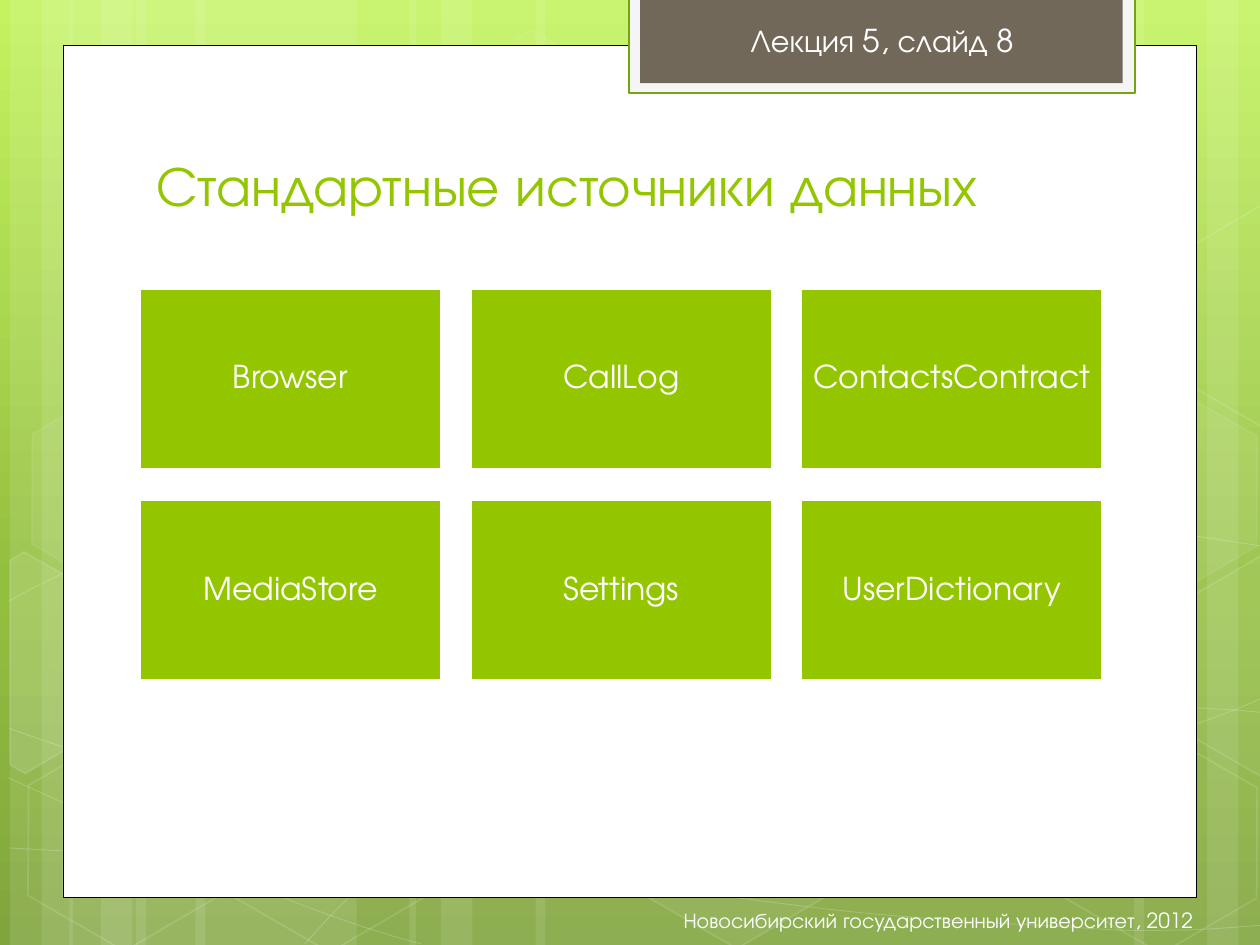
from copy import deepcopy
from dataclasses import dataclass
from pptx import Presentation
from pptx.dml.color import RGBColor
from pptx.enum.shapes import MSO_SHAPE as Shape
from pptx.enum.text import MSO_ANCHOR as Anchor, PP_ALIGN as Align
from pptx.oxml.ns import qn
from pptx.util import Inches, Pt
from lxml.etree import SubElement


@dataclass
class Theme:
    font: str = "TeX Gyre Adventor"
    white: str = "FFFFFF"
    black: str = "000000"
    green: str = "94C600"
    tab: str = "71685A"
    tab_frame: str = "F5F5F5"
    tab_edge: str = "74A510"
    backdrop: tuple = ((0, "C3F35F"), (0.62, "93BF3F"), (1, "81A53E"))
    title_size: int = 32
    body_size: int = 18
    footer_size: int = 12


THEME = Theme()

LECTURE = "Лекция 5, слайд 8"
UNIVERSITY = "Новосибирский государственный университет, 2012"
TITLE = "Стандартные источники данных"
SOURCES = [
    ["Browser", "CallLog", "ContactsContract"],
    ["MediaStore", "Settings", "UserDictionary"],
]

STRIPES = [
    (1.08, 1.75), (0.08, 0.5), (0.33, 0.83), (1.55, 1.75), (0.55, 0.5), (0.8, 0.83),
    (7.33, 1.75), (9.58, 0.5), (9, 0.83), (4.25, 3.08), (3.25, 0.5), (3.5, 0.83),
]
WAVES = [
    [(0.07, 6.73), (0.61, 6.76, 1.15, 6.79, 1.9, 6.78), (2.65, 6.77, 3.58, 6.75, 4.58, 6.65),
     (5.58, 6.55, 7, 6.36, 7.92, 6.17), (8.83, 5.98, 9.77, 5.68, 10.07, 5.51)],
    [(0.07, 4.77), (0.36, 4.61, 0.65, 4.46, 1.21, 4.31), (1.78, 4.16, 2.59, 3.94, 3.47, 3.87),
     (4.36, 3.8, 5.44, 3.79, 6.54, 3.87), (7.64, 3.95, 9.47, 4.26, 10.07, 4.34)],
    [(0.06, 6.17), (1.27, 6.72, 2.47, 7.27, 3.34, 7.49)],
    [(0.07, 5.78), (0.38, 5.89, 0.7, 6, 1.28, 6.16), (1.86, 6.31, 2.73, 6.56, 3.57, 6.73),
     (4.4, 6.9, 5.45, 7.08, 6.28, 7.18), (7.11, 7.29, 8, 7.33, 8.53, 7.36),
     (9.05, 7.4, 9.19, 7.38, 9.45, 7.38), (9.71, 7.37, 9.89, 7.35, 10.07, 7.34)],
    [(2.42, 7.49), (2.6, 7.29, 2.78, 7.09, 3.02, 6.91), (3.26, 6.73, 3.6, 6.53, 3.88, 6.39),
     (4.16, 6.25, 4.33, 6.19, 4.7, 6.09), (5.06, 5.99, 5.73, 5.85, 6.08, 5.78),
     (6.44, 5.71, 6.49, 5.71, 6.8, 5.69), (7.11, 5.66, 7.6, 5.63, 7.94, 5.62),
     (8.29, 5.61, 8.86, 5.62, 8.86, 5.62), (9.53, 5.62),
     (9.71, 5.63, 9.88, 5.64, 9.97, 5.65), (10.06, 5.66, 10.03, 5.65, 10.06, 5.66)],
]
HEXAGONS = [
    (3.34, 0.36, 4, 8), (4.97, 5.89, 6, 12), (0.11, 5.91, 0, 12),
    (0.14, 3.12, 7, 8), (1.74, 5.92, 0, 12), (7.53, 4.53, 10, 12),
    (8.34, 5.93, 0, 12), (8.34, 3.14, 7, 8),
]
CUT_HEXAGONS = [
    ([(0.08, 4.45), (0.19, 4.38), (0.96, 4.82), (0.95, 5.7), (0.2, 6.14), (0.08, 6.07)], 10),
    ([(9.26, 4.85), (10.01, 4.41), (10.09, 4.46), (10.09, 6.13), (10.02, 6.17), (9.26, 5.73)], 4),
    ([(9.26, 2.07), (10.01, 1.63), (10.1, 1.68), (10.09, 3.35), (10.02, 3.39), (9.26, 2.95)], 0),
]
PANELS = [
    ((0.5, 0.36, 9, 6.76), THEME.white, THEME.black, 0.5),
    ((4.99, -0.02, 4.02, 0.76), THEME.tab_frame, THEME.tab_edge, 1.25),
    ((5.08, -0.02, 3.83, 0.68), THEME.tab, None, 0),
]


def paint(fill, color, opacity=100):
    if not color or not opacity:
        fill.background()
        return
    fill.solid()
    fill.fore_color.rgb = RGBColor.from_string(color)
    if opacity < 100:
        element = fill._xPr.find(".//" + qn("a:srgbClr"))
        SubElement(element, qn("a:alpha"), val=str(opacity * 1000))


def style(shape, color, opacity=100, edge=None, edge_width=0, edge_opacity=100):
    shape.shadow.inherit = False
    paint(shape.fill, color, opacity)
    paint(shape.line.fill, edge, edge_opacity)
    if edge:
        shape.line.width = Pt(edge_width)
    return shape


def add_preset(shapes, kind, box, *look):
    return style(shapes.add_shape(kind, *map(Inches, box)), *look)


def add_outline(shapes, segments, closed, *look):
    points = [tuple(map(Inches, segment[i:i + 2]))
              for segment in segments for i in range(0, len(segment), 2)]
    builder = shapes.build_freeform(*points[0])
    builder.add_line_segments(points[1:], close=closed)
    outline = style(builder.convert_to_shape(), *look)
    steps = iter(outline._element.findall(".//" + qn("a:lnTo")))
    for segment in segments[1:]:
        step = next(steps)
        if len(segment) == 6:
            step.tag = qn("a:cubicBezTo")
            for control in (next(steps), next(steps)):
                step.append(control[0])
                control.getparent().remove(control)
    return outline


def write(shape, text, size, color, align=Align.LEFT, anchor=Anchor.TOP, wrap=True):
    frame = shape.text_frame
    frame.word_wrap = wrap
    frame.vertical_anchor = anchor
    paragraph = frame.paragraphs[0]
    paragraph.text = text
    paragraph.alignment = align
    paragraph.font.name = THEME.font
    paragraph.font.size = Pt(size)
    paragraph.font.color.rgb = RGBColor.from_string(color)
    return frame


def add_label(shapes, box, *args, **options):
    write(shapes.add_textbox(*map(Inches, box)), *args, **options)


def set_backdrop(slide):
    fill = slide.background.fill
    fill.gradient()
    fill.gradient_angle = 270
    stop_list = slide.element.find(".//" + qn("a:gsLst"))
    stop_list.insert(1, deepcopy(stop_list[0]))
    for stop, (position, color) in zip(fill.gradient_stops, THEME.backdrop):
        stop.position = position
        stop.color.rgb = RGBColor.from_string(color)


def draw_decor(shapes):
    white = THEME.white
    for left, width in STRIPES:
        add_preset(shapes, Shape.RECTANGLE, (left, 0, width, 7.5), white, 10)
    for wave in WAVES:
        add_outline(shapes, wave, False, None, 0, white, 0.5, 20)
    for left, top, opacity, edge_opacity in HEXAGONS:
        hexagon = add_preset(shapes, Shape.HEXAGON, (left, top, 1.75, 1.52),
                             white, opacity, white, 1, edge_opacity)
        hexagon.adjustments[0] = 0.285
        hexagon.rotation = 30
    for corners, opacity in CUT_HEXAGONS:
        add_outline(shapes, corners, True, white, opacity, white, 1, 12)
    for box, color, edge, edge_width in PANELS:
        add_preset(shapes, Shape.RECTANGLE, box, color, 100, edge, edge_width)


def draw_sources(shapes):
    left, top, right, bottom = 1.11, 2.29, 8.75, 5.4
    width, height = 2.39, 1.43
    column_step = (right - left - width) / (len(SOURCES[0]) - 1)
    row_step = (bottom - top - height) / (len(SOURCES) - 1)
    for row, names in enumerate(SOURCES):
        for column, name in enumerate(names):
            box = (left + column * column_step, top + row * row_step, width, height)
            tile = add_preset(shapes, Shape.RECTANGLE, box, THEME.green, 100, THEME.white, 1.25)
            frame = write(tile, name, THEME.body_size, THEME.white, Align.CENTER, Anchor.MIDDLE)
            frame.margin_left = frame.margin_right = Inches(0.07)
            frame.margin_top = frame.margin_bottom = Inches(0.07)
            frame.paragraphs[0].line_spacing = 0.9


def main():
    deck = Presentation()
    deck.slide_width, deck.slide_height = Inches(10), Inches(7.5)
    slide = deck.slides.add_slide(deck.slide_layouts[6])
    shapes = slide.shapes
    set_backdrop(slide)
    draw_decor(shapes)
    add_label(shapes, (5.86, 0.12, 2.45, 0.4), LECTURE, THEME.body_size, THEME.white, wrap=False)
    add_label(shapes, (3.98, 7.1, 5.59, 0.4), UNIVERSITY, THEME.footer_size, THEME.white,
              Align.RIGHT, Anchor.MIDDLE)
    add_label(shapes, (1.14, 1.15, 7.68, 0.63), TITLE, THEME.title_size, THEME.green,
              anchor=Anchor.BOTTOM)
    draw_sources(shapes)
    deck.save("out.pptx")


if __name__ == "__main__":
    main()
